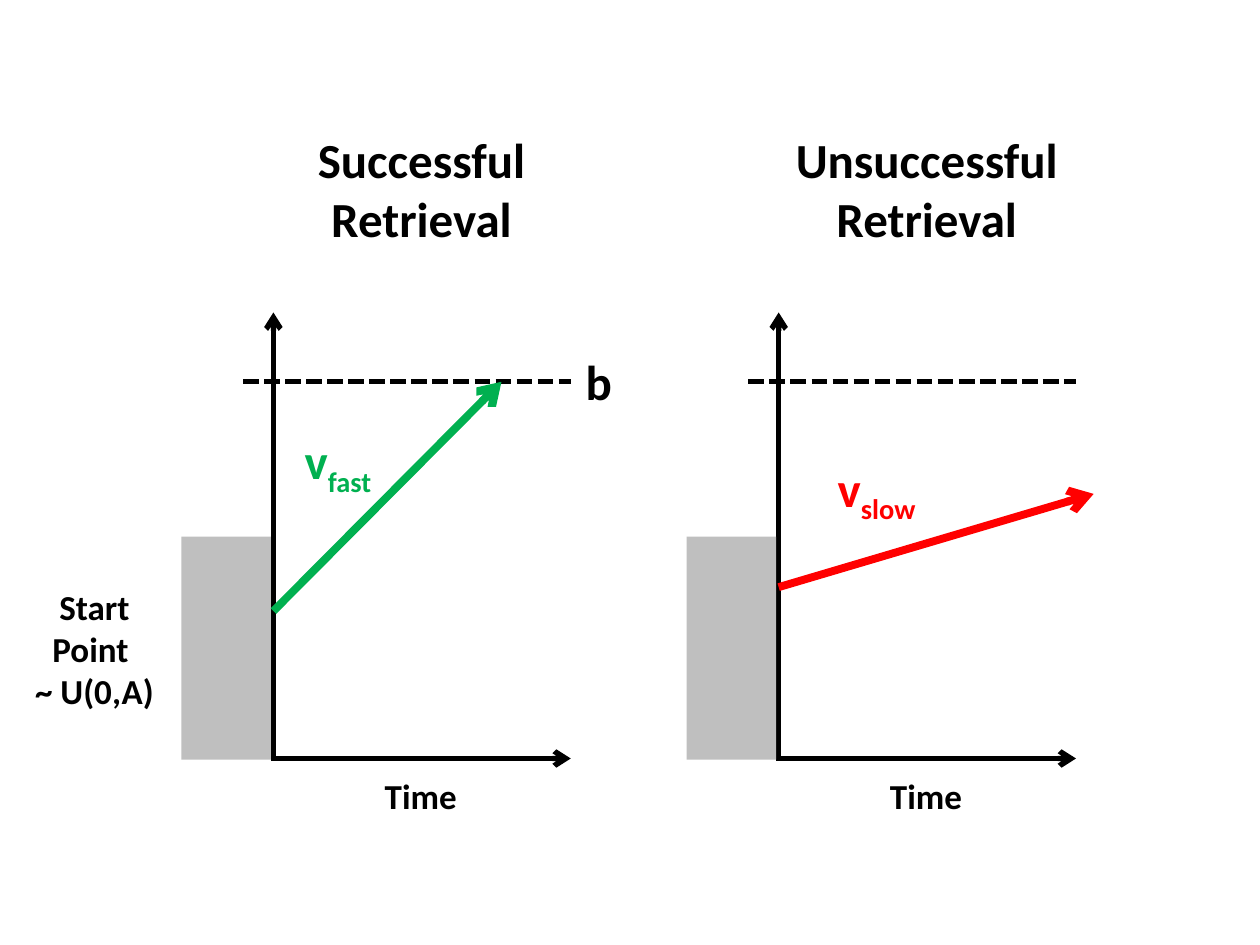
from pptx import Presentation
from pptx import util as u
from pptx.dml.color import RGBColor
from pptx.enum import dml, shapes, text
from pptx.oxml.ns import qn
from lxml import etree

WIDTH, HEIGHT = 10, 7.5
BLACK, GREY, GREEN, RED = "000000", "BFBFBF", "00B050", "FF0000"
CENTER, LEFT = text.PP_ALIGN.CENTER, text.PP_ALIGN.LEFT

# Panel grid: origin of each pair of axes and the shared rows
ORIGINS = (2.17, 6.18)
BASE, TOP, THRESHOLD, START_TOP = 6.02, 2.48, 3.03, 4.26
AXIS_END = 2.36


def colour(hex_string):
    return RGBColor.from_string(hex_string)


def add_line(slide, start, end, hex_string=BLACK, weight=3, arrow=True):
    """Straight line, either with an arrowhead or dashed."""
    line = slide.shapes.add_connector(
        shapes.MSO_CONNECTOR.STRAIGHT, *(u.Inches(v) for v in (*start, *end)))
    line.line.color.rgb = colour(hex_string)
    line.line.width = u.Pt(weight)
    etree.SubElement(line._element.spPr, qn("a:effectLst"))
    if arrow:
        etree.SubElement(line.line._get_or_add_ln(), qn("a:tailEnd"), type="arrow")
    else:
        line.line.dash_style = dml.MSO_LINE.SQUARE_DOT


def add_label(slide, box, paragraphs, size, hex_string=BLACK, align=CENTER):
    """Bold text; each paragraph is a list of (words, baseline) runs."""
    label = slide.shapes.add_textbox(*(u.Inches(v) for v in box))
    frame = label.text_frame
    frame.word_wrap = True
    for index, runs in enumerate(paragraphs):
        paragraph = frame.paragraphs[0] if index == 0 else frame.add_paragraph()
        paragraph.alignment = align
        for words, baseline in runs:
            run = paragraph.add_run()
            run.text = words
            run.font.name = "Calibri"
            run.font.size = u.Pt(size)
            run.font.bold = True
            run.font.color.rgb = colour(hex_string)
            if baseline:
                run.font._element.set("baseline", str(baseline * 1000))


def add_start_range(slide, origin):
    """Grey block of possible start points, left of the vertical axis."""
    width = 0.71
    block = slide.shapes.add_shape(
        shapes.MSO_SHAPE.RECTANGLE, u.Inches(origin - 0.02 - width),
        u.Inches(START_TOP), u.Inches(width), u.Inches(BASE - START_TOP + 0.01))
    block.shadow.inherit = False
    block.fill.solid()
    block.fill.fore_color.rgb = colour(GREY)
    block.line.fill.background()


def add_panel(slide, origin, heading):
    """Axes, threshold, start range and captions of one panel."""
    end = origin + AXIS_END
    add_line(slide, (origin, BASE), (origin, TOP))
    add_line(slide, (origin - 0.02, BASE), (end, BASE))
    add_start_range(slide, origin)
    add_line(slide, (origin - 0.24, THRESHOLD), (end, THRESHOLD), arrow=False)
    add_label(slide, (origin + 0.03, 0.98, 2.29, 1.04), [[(heading, 0)]], 28)
    add_label(slide, (origin + 0.54, 6.1, 1.26, 0.44), [[("Time", 0)]], 20)


def add_drift(slide, start, end, speed, box, hex_string):
    """Drift arrow with its subscripted rate."""
    add_line(slide, start, end, hex_string, 4.5)
    add_label(slide, box, [[("v", 0), (speed, -25)]], 28, hex_string, LEFT)


def main():
    deck = Presentation()
    deck.slide_width, deck.slide_height = u.Inches(WIDTH), u.Inches(HEIGHT)
    slide = deck.slides.add_slide(deck.slide_layouts[6])

    # Two panels
    headings = ("Successful Retrieval", "Unsuccessful Retrieval")
    for origin, heading in zip(ORIGINS, headings):
        add_panel(slide, origin, heading)

    # Start point and threshold labels
    add_label(slide, (0.12, 4.6, 1.26, 1.11),
              [[("Start Point ", 0)], [("~ U(0,A)", 0)]], 20)
    add_label(slide, (4.55, 2.74, 0.39, 0.57), [[("b", 0)]], 28, align=LEFT)

    # Drift rates
    fast, slow = ORIGINS
    add_drift(slide, (fast, 4.85), (3.98, THRESHOLD), "fast",
              (2.32, 3.37, 1.01, 0.57), GREEN)
    add_drift(slide, (slow, 4.66), (8.68, 3.92), "slow",
              (6.55, 3.59, 1.61, 0.57), RED)

    deck.save("out.pptx")


main()
